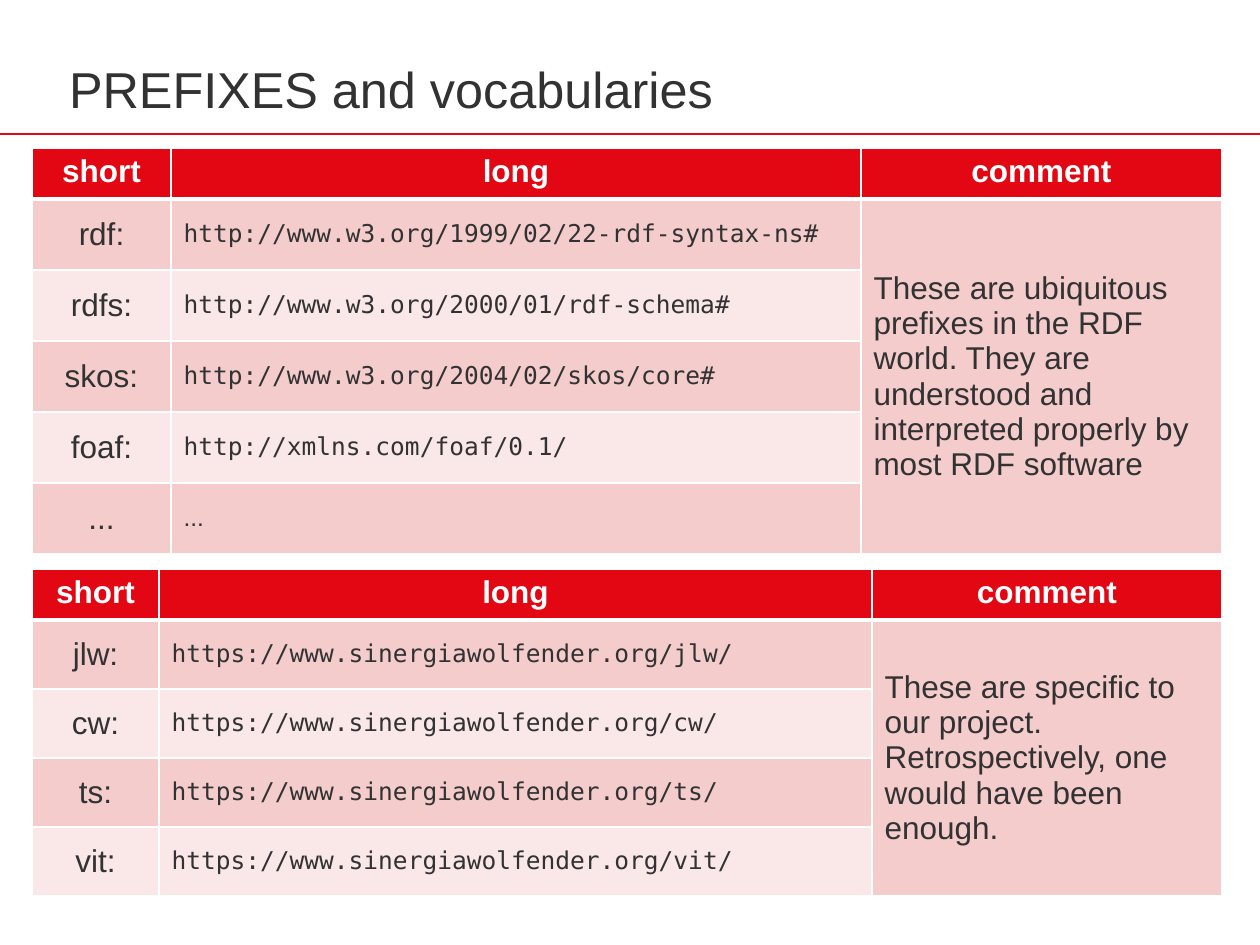
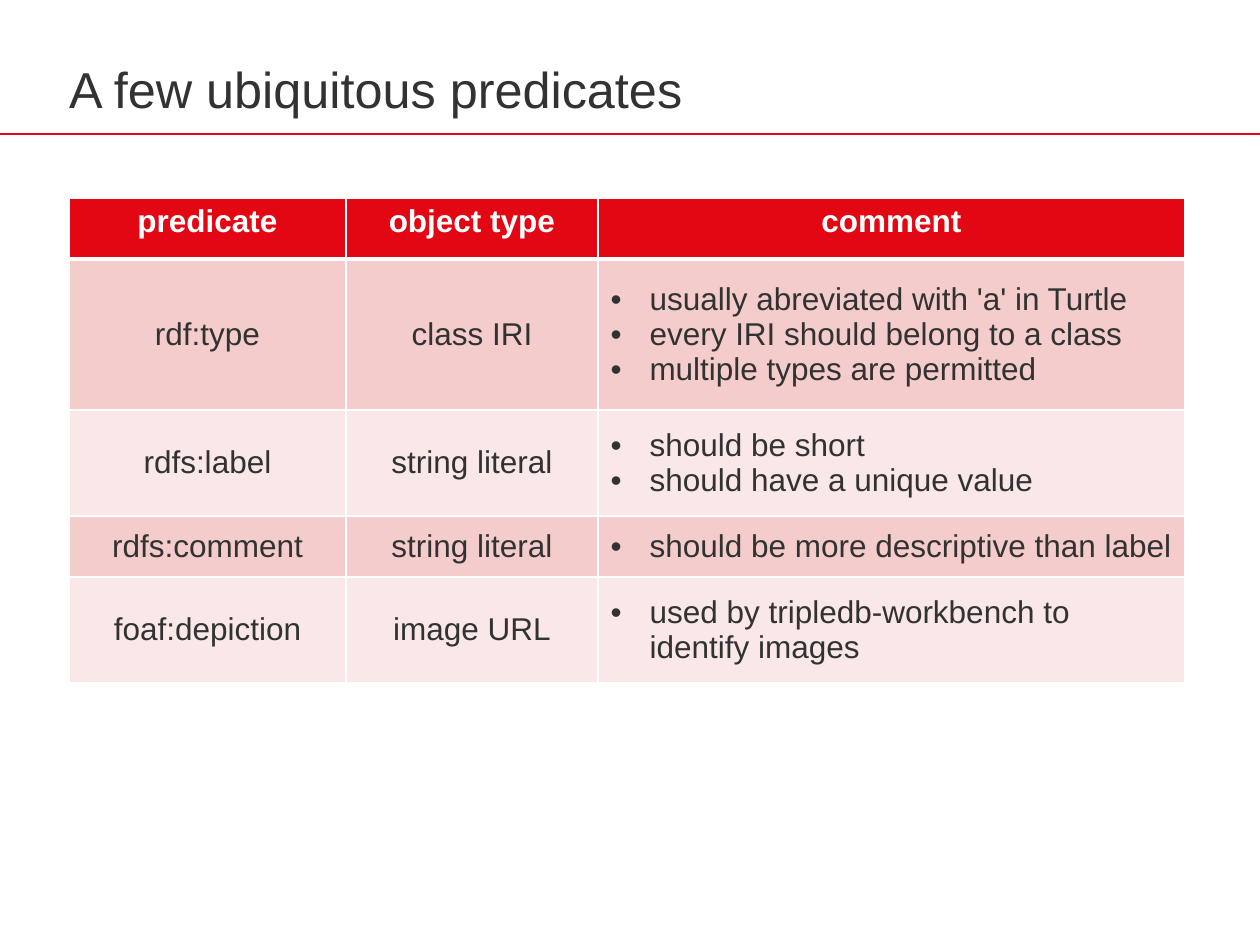
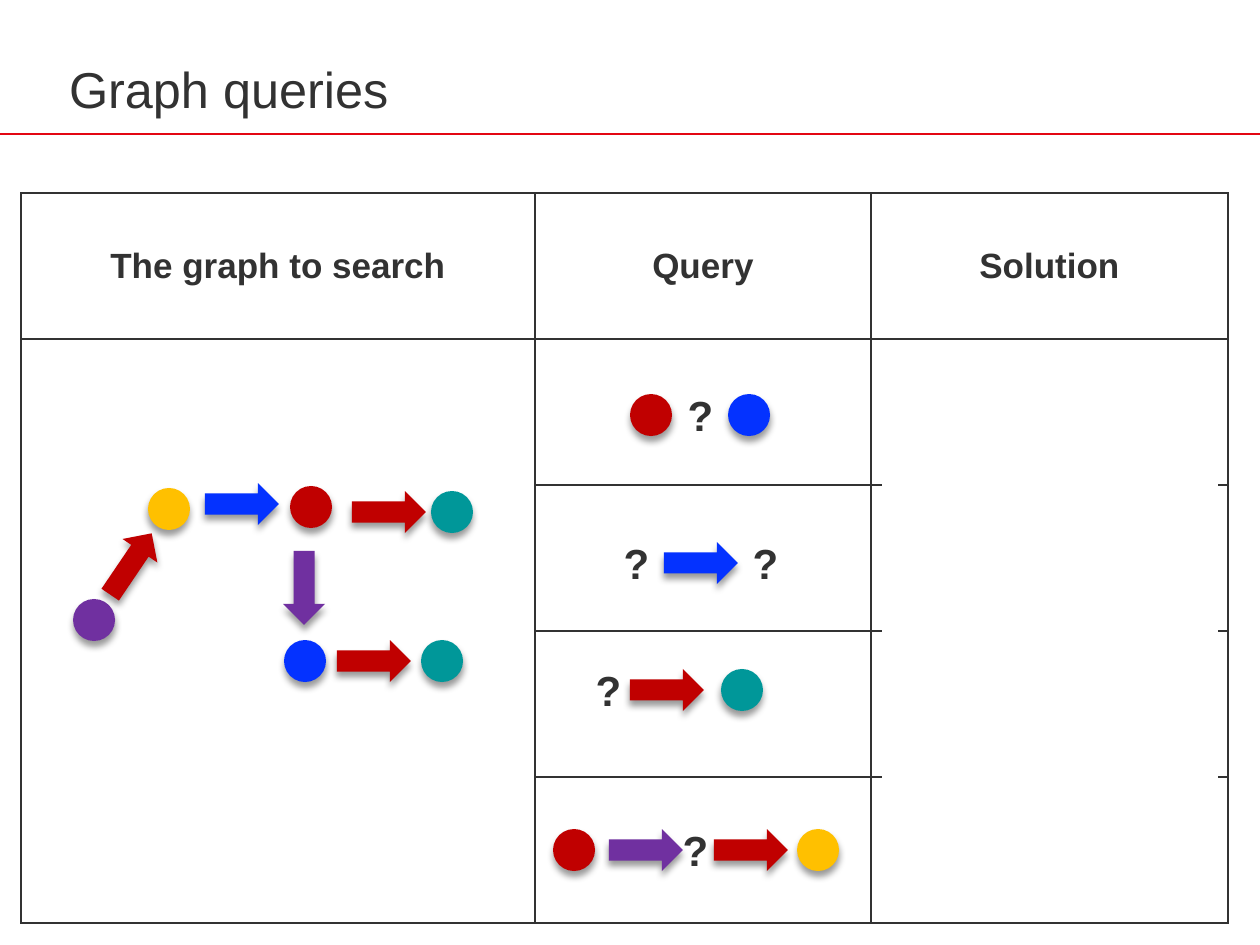
from dataclasses import dataclass, replace

from lxml.etree import SubElement
from pptx import Presentation
from pptx.dml.color import RGBColor
from pptx.enum.shapes import MSO_CONNECTOR, MSO_SHAPE
from pptx.enum.text import MSO_ANCHOR, PP_ALIGN
from pptx.oxml import parse_xml
from pptx.oxml.ns import nsdecls, qn
from pptx.util import Emu, Pt

PX_PER_INCH = 126


def px(length):
    return Emu(round(length * 914400 / PX_PER_INCH))


@dataclass(frozen=True)
class TextStyle:
    size: float
    color: str = "323232"
    bold: bool = False
    font: str = "Arial"
    align: PP_ALIGN = PP_ALIGN.LEFT
    anchor: MSO_ANCHOR = MSO_ANCHOR.MIDDLE


@dataclass(frozen=True)
class Theme:
    accent: str = "E30613"
    bands: tuple = ("FAE7E7", "F4CCCC")
    white: str = "FFFFFF"
    ink: str = "323232"
    red: str = "C00000"
    blue: str = "0432FF"
    purple: str = "7030A0"
    yellow: str = "FFC000"
    teal: str = "009799"
    title: TextStyle = TextStyle(28.8)
    header: TextStyle = TextStyle(18, "FFFFFF", True, align=PP_ALIGN.CENTER,
                                  anchor=MSO_ANCHOR.TOP)
    label: TextStyle = TextStyle(18, align=PP_ALIGN.CENTER)
    note: TextStyle = TextStyle(18)
    iri: TextStyle = TextStyle(14, font="DejaVu Sans Mono")
    grid: TextStyle = TextStyle(20, bold=True, align=PP_ALIGN.CENTER)
    unknown: TextStyle = TextStyle(24, bold=True, align=PP_ALIGN.CENTER,
                                   anchor=MSO_ANCHOR.TOP)


class Deck:
    node = 42
    arrow_length = 74
    bullet_indent = 39

    def __init__(self, theme):
        self.theme = theme
        self.presentation = Presentation()
        self.presentation.slide_width = px(1260)
        self.presentation.slide_height = px(945)
        self.slide = None

    def new_slide(self, title):
        blank = self.presentation.slide_layouts[6]
        self.slide = self.presentation.slides.add_slide(blank)
        self.rule(134)
        self.text(69, 55, 1116, 67, title, self.theme.title)

    def rule(self, top):
        rule = self.slide.shapes.add_connector(
            MSO_CONNECTOR.STRAIGHT, 0, px(top), px(1260), px(top))
        rule.line.color.rgb = RGBColor.from_string(self.theme.accent)
        rule.line.width = Pt(1.5)
        SubElement(rule._element.spPr, qn("a:effectLst"))

    def format(self, paragraph, style):
        paragraph.alignment = style.align
        for run in paragraph.runs:
            run.font.name = style.font
            run.font.size = Pt(style.size)
            run.font.bold = style.bold
            run.font.color.rgb = RGBColor.from_string(style.color)

    def text(self, left, top, width, height, content, style):
        box = self.slide.shapes.add_textbox(px(left), px(top), px(width), px(height))
        frame = box.text_frame
        frame.word_wrap = True
        frame.margin_left = frame.margin_right = 0
        frame.margin_top = frame.margin_bottom = 0
        frame.vertical_anchor = style.anchor
        frame.text = content
        self.format(frame.paragraphs[0], style)

    def shape(self, preset, left, top, width, height, color):
        shape = self.slide.shapes.add_shape(preset, px(left), px(top), px(width), px(height))
        shape.shadow.inherit = False
        shape.fill.solid()
        shape.fill.fore_color.rgb = RGBColor.from_string(color)
        shape.line.fill.background()
        return shape

    def drop_shadow(self, shape):
        effects = shape._element.spPr.find(qn("a:effectLst"))
        effects.append(parse_xml(
            f'<a:outerShdw {nsdecls("a")} blurRad="{Pt(4)}" dist="{Pt(3)}" '
            'dir="5400000" rotWithShape="0"><a:srgbClr val="000000">'
            '<a:alpha val="40000"/></a:srgbClr></a:outerShdw>'))

    def disc(self, left, top, color):
        self.drop_shadow(self.shape(MSO_SHAPE.OVAL, left, top, self.node, self.node, color))

    def arrow(self, left, top, color, rotation=0):
        arrow = self.shape(MSO_SHAPE.RIGHT_ARROW, left, top,
                           self.arrow_length, self.node, color)
        arrow.rotation = rotation
        self.drop_shadow(arrow)

    def unknown(self, left, top):
        self.text(left, top - 4, 55, 50, "?", self.theme.unknown)

    def borders(self, cell, color, bottom_width):
        properties = cell._tc.get_or_add_tcPr()
        for position, side in enumerate("LRTB"):
            width = Pt(bottom_width if side == "B" else 1)
            properties.insert(position, parse_xml(
                f'<a:ln{side} {nsdecls("a")} w="{width}"><a:solidFill>'
                f'<a:srgbClr val="{color}"/></a:solidFill></a:ln{side}>'))

    def bullet(self, paragraph):
        properties = paragraph._p.get_or_add_pPr()
        indent = px(self.bullet_indent)
        properties.set("marL", str(indent))
        properties.set("indent", str(-indent))
        SubElement(properties, qn("a:buFont")).set("typeface", "Arial")
        SubElement(properties, qn("a:buChar")).set("char", "•")

    def cell(self, cell, content, style, fill, border, bottom_width=1):
        bulleted = isinstance(content, list)
        cell.vertical_anchor = style.anchor
        cell.text_frame.text = "\n".join(content) if bulleted else content or ""
        for paragraph in cell.text_frame.paragraphs:
            if bulleted:
                self.bullet(paragraph)
            self.format(paragraph, style)
        if fill:
            cell.fill.solid()
            cell.fill.fore_color.rgb = RGBColor.from_string(fill)
        else:
            cell.fill.background()
        self.borders(cell, border, bottom_width)

    def table(self, left, top, widths, heights, rows):
        frame = self.slide.shapes.add_table(
            len(rows), len(widths), px(left), px(top), px(sum(widths)), px(sum(heights)))
        table = frame.table
        table.first_row = table.horz_banding = False
        for column, width in zip(table.columns, widths):
            column.width = px(width)
        for row, height in zip(table.rows, heights):
            row.height = px(height)
        for column, entries in enumerate(zip(*rows)):
            spanned = [row for row, entry in enumerate(entries) if entry is None]
            if spanned:
                table.cell(spanned[0] - 1, column).merge(table.cell(spanned[-1], column))
        return table

    def banded_table(self, left, top, widths, heights, rows, styles):
        theme = self.theme
        table = self.table(left, top, widths, heights, rows)
        for column, heading in enumerate(rows[0]):
            self.cell(table.cell(0, column), heading, theme.header,
                      theme.accent, theme.white, 3)
        for number, row in enumerate(rows[1:], 1):
            for column, (entry, style) in enumerate(zip(row, styles)):
                if entry == "...":
                    style = replace(style, font=theme.note.font)
                self.cell(table.cell(number, column), entry, style,
                          theme.bands[number % 2], theme.white)

    def grid_table(self, left, top, widths, heights, rows):
        table = self.table(left, top, widths, heights, rows)
        for number, row in enumerate(rows):
            for column, entry in enumerate(row):
                self.cell(table.cell(number, column), entry, self.theme.grid,
                          None, self.theme.ink)


def prefix_slide(deck):
    theme = deck.theme
    deck.new_slide("PREFIXES and vocabularies")
    common = [
        ("rdf:", "http://www.w3.org/1999/02/22-rdf-syntax-ns#"),
        ("rdfs:", "http://www.w3.org/2000/01/rdf-schema#"),
        ("skos:", "http://www.w3.org/2004/02/skos/core#"),
        ("foaf:", "http://xmlns.com/foaf/0.1/"),
        ("...", "..."),
    ]
    project = [(f"{name}:", f"https://www.sinergiawolfender.org/{name}/")
               for name in ("jlw", "cw", "ts", "vit")]
    vocabularies = [
        (148, (139, 690, 361), 71, common,
         "These are ubiquitous prefixes in the RDF world. They are understood "
         "and interpreted properly by most RDF software"),
        (569, (127, 713, 350), 69, project,
         "These are specific to our project. Retrospectively, one "
         "would have been enough."),
    ]
    for top, widths, row_height, prefixes, comment in vocabularies:
        rows = [("short", "long", "comment")]
        rows += [(*prefix, None if index else comment)
                 for index, prefix in enumerate(prefixes)]
        heights = [51] + [row_height] * len(prefixes)
        deck.banded_table(32, top, widths, heights, rows,
                          (theme.label, theme.iri, theme.note))


def predicate_slide(deck):
    theme = deck.theme
    deck.new_slide("A few ubiquitous predicates")
    rows = [
        ("predicate", "object type", "comment"),
        ("rdf:type", "class IRI", ["usually abreviated with 'a' in Turtle",
                                   "every IRI should belong to a class",
                                   "multiple types are permitted"]),
        ("rdfs:label", "string literal", ["should be short",
                                          "should have a unique value"]),
        ("rdfs:comment", "string literal", ["should be more descriptive than label"]),
        ("foaf:depiction", "image URL", ["used by tripledb-workbench to identify images"]),
    ]
    deck.banded_table(69, 198, (277, 252, 587), (61, 151, 106, 61, 106), rows,
                      (theme.label, theme.label, theme.note))


def query_slide(deck):
    theme = deck.theme
    deck.new_slide("Graph queries")
    rows = [("The graph to search", "Query", "Solution"), ("", "", "")]
    rows += [(None, "", "")] * 3
    deck.grid_table(21, 193, (514, 336, 357), [146] * 5, rows)

    nodes = [
        (73, 599, theme.purple), (148, 488, theme.yellow), (290, 486, theme.red),
        (431, 491, theme.teal), (284, 640, theme.blue), (421, 640, theme.teal),
    ]
    edges = [
        (94, 543, theme.red, 304.1), (205, 483, theme.blue), (352, 491, theme.red),
        (267, 567, theme.purple, 90), (337, 640, theme.red),
    ]
    for node in nodes:
        deck.disc(*node)
    for edge in edges:
        deck.arrow(*edge)

    queries = {
        394: [(deck.disc, 630, theme.red), (deck.unknown, 673),
              (deck.disc, 728, theme.blue)],
        542: [(deck.unknown, 609), (deck.arrow, 664, theme.blue), (deck.unknown, 738)],
        669: [(deck.unknown, 581), (deck.arrow, 630, theme.red),
              (deck.disc, 721, theme.teal)],
        829: [(deck.disc, 553, theme.red), (deck.arrow, 609, theme.purple),
              (deck.unknown, 668), (deck.arrow, 714, theme.red),
              (deck.disc, 797, theme.yellow)],
    }
    for top, terms in queries.items():
        for draw, left, *color in terms:
            draw(left, top, *color)

    deck.shape(MSO_SHAPE.RECTANGLE, 882, 360, 336, 543, theme.white)


def main():
    deck = Deck(Theme())
    prefix_slide(deck)
    predicate_slide(deck)
    query_slide(deck)
    deck.presentation.save("out.pptx")


if __name__ == "__main__":
    main()
